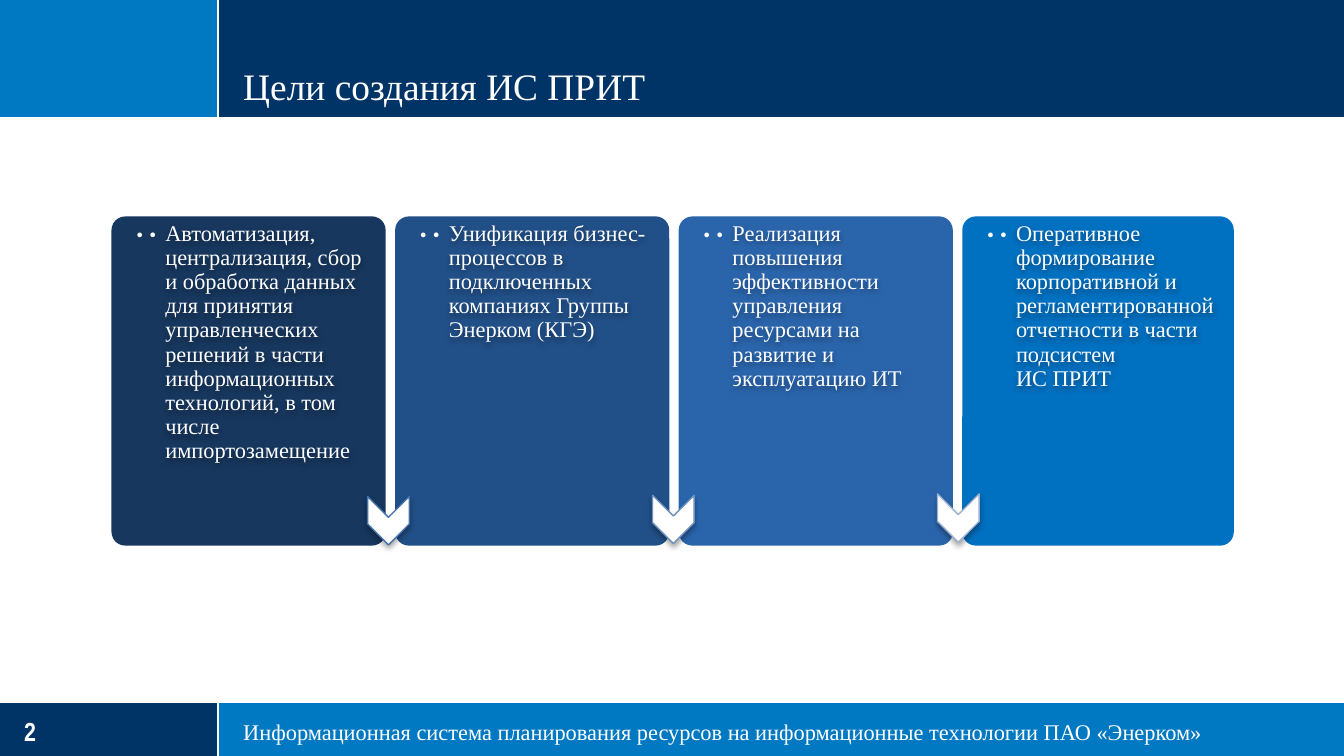
from dataclasses import dataclass

from lxml import etree
from pptx import Presentation
from pptx import util as u
from pptx.dml.color import RGBColor
from pptx.enum import shapes, text
from pptx.oxml import ns

WHITE = RGBColor(0xFF, 0xFF, 0xFF)
NAVY = RGBColor(0x00, 0x33, 0x66)
AZURE = RGBColor(0x00, 0x79, 0xC2)

SERIF = "Times New Roman"
PAGE_WIDTH = 10
PAGE_HEIGHT = PAGE_WIDTH * 9 / 16
FOOTER_TOP = 5.23
FOOTER_HEIGHT = PAGE_HEIGHT - FOOTER_TOP
CARD_LEFT, CARD_TOP, CARD_HEIGHT, CARD_STEP = 0.83, 1.61, 2.45, 2.11
ARROW_LEFT, ARROW_TOP, ARROW_STEP = 2.71, 3.72, 2.12


@dataclass(frozen=True)
class Area:
    left: float
    top: float
    width: float
    height: float

    def lengths(self) -> list[u.Length]:
        return [u.Inches(v) for v in (self.left, self.top, self.width, self.height)]


@dataclass(frozen=True)
class Label:
    words: str
    size: float
    font: str = SERIF
    bold: bool = False
    anchor: text.MSO_ANCHOR = text.MSO_ANCHOR.MIDDLE
    align: text.PP_ALIGN = text.PP_ALIGN.LEFT
    spacing: float = 1.0
    insets: tuple[float, float, float, float] = (0, 0, 0, 0)


@dataclass(frozen=True)
class Goal:
    words: str
    fill: RGBColor
    width: float = 2.04


BANDS = [
    (Area(0, FOOTER_TOP, PAGE_WIDTH, FOOTER_HEIGHT), AZURE),
    (Area(0, 0, PAGE_WIDTH, 0.87), NAVY),
    (Area(0, 0, 1.62, 0.87), AZURE),
    (Area(0, FOOTER_TOP, 1.62, FOOTER_HEIGHT), NAVY),
]
RULES = [(0, 5.22, PAGE_WIDTH, 5.22), (1.62, 5.22, 1.62, PAGE_HEIGHT),
         (1.62, 0, 1.62, 0.88), (0, 0.88, PAGE_WIDTH, 0.88)]
CAPTIONS = [
    (Area(0.18, 5.32, 1.01, 0.24), Label("2", 14, "Arial Narrow", True)),
    (Area(1.81, 0.08, 8.01, 0.72),
     Label("Цели создания ИС ПРИТ", 20, anchor=text.MSO_ANCHOR.BOTTOM)),
    (Area(1.81, 5.34, 8.01, 0.2),
     Label("Информационная система планирования ресурсов на "
           "информационные технологии ПАО «Энерком»", 12)),
]
GOALS = [
    Goal("Автоматизация, централизация, сбор и обработка данных для принятия "
         "управленческих решений в части информационных технологий, "
         "в том числе импортозамещение", RGBColor(0x17, 0x37, 0x5E)),
    Goal("Унификация бизнес-процессов в подключенных компаниях "
         "Группы Энерком (КГЭ)", RGBColor(0x21, 0x4F, 0x87)),
    Goal("Реализация повышения эффективности управления ресурсами "
         "на развитие и эксплуатацию ИТ", RGBColor(0x2A, 0x65, 0xAC)),
    Goal("Оперативное формирование корпоративной и регламентированной "
         "отчетности в части подсистем\vИС ПРИТ", RGBColor(0x00, 0x70, 0xC0), 2.02),
]
ARROW_LINES = [RGBColor(0x44, 0x72, 0xAB), RGBColor(0x6F, 0x8F, 0xBF),
               RGBColor(0x9D, 0xB0, 0xD1)]


def add_filled(page, kind: shapes.MSO_SHAPE, area: Area, fill: RGBColor):
    box = page.shapes.add_shape(kind, *area.lengths())
    box.shadow.inherit = False
    box.fill.solid()
    box.fill.fore_color.rgb = fill
    box.line.fill.background()
    return box


def write(box, label: Label) -> None:
    frame = box.text_frame
    sides = ("margin_left", "margin_top", "margin_right", "margin_bottom")
    settings = {side: u.Inches(inset) for side, inset in zip(sides, label.insets)}
    settings |= {"word_wrap": True, "vertical_anchor": label.anchor}
    for name, value in settings.items():
        setattr(frame, name, value)
    para = frame.paragraphs[0]
    para.text = label.words
    for name, value in {"alignment": label.align, "line_spacing": label.spacing}.items():
        setattr(para, name, value)
    style = {"size": u.Pt(label.size), "name": label.font, "bold": label.bold}
    for span in para.runs:
        for name, value in style.items():
            setattr(span.font, name, value)
        span.font.color.rgb = WHITE


def add_text(page, area: Area, label: Label):
    box = page.shapes.add_textbox(*area.lengths())
    write(box, label)
    return box


def add_rule(page, ends: tuple[float, float, float, float]) -> None:
    rule = page.shapes.add_connector(
        shapes.MSO_CONNECTOR.STRAIGHT, *[u.Inches(v) for v in ends])
    rule.line.color.rgb = WHITE
    rule.line.width = u.Pt(1.25)
    etree.SubElement(rule._element.spPr, ns.qn("a:effectLst"))


def add_shadow(box) -> None:
    box.shadow.inherit = False
    effects = box._element.spPr.find(ns.qn("a:effectLst"))
    shadow = etree.SubElement(
        effects, ns.qn("a:outerShdw"), blurRad=str(u.Pt(3.1)),
        dist=str(u.Pt(1.8)), dir="5400000", rotWithShape="0")
    color = etree.SubElement(shadow, ns.qn("a:srgbClr"), val="000000")
    etree.SubElement(color, ns.qn("a:alpha"), val="35000")


def add_card(page, goal: Goal, left: float) -> None:
    turn = (CARD_HEIGHT - goal.width) / 2
    area = Area(left - turn, CARD_TOP + turn, CARD_HEIGHT, goal.width)
    card = add_filled(page, shapes.MSO_SHAPE.ROUNDED_RECTANGLE, area, goal.fill)
    card.adjustments[0] = 0.05
    card.rotation = 270
    write(card, Label(":", 21, "Calibri", anchor=text.MSO_ANCHOR.TOP,
                      align=text.PP_ALIGN.RIGHT, spacing=0.9,
                      insets=(0.44, 0.04, 0.07, 1.63)))


def add_arrow(page, index: int) -> None:
    area = Area(ARROW_LEFT + index * ARROW_STEP, ARROW_TOP - index * 0.01, 0.36, 0.31)
    arrow = add_filled(page, shapes.MSO_SHAPE.CHEVRON, area, WHITE)
    arrow.rotation = 90
    arrow.line.color.rgb = ARROW_LINES[index]
    arrow.line.width = u.Pt(0.75)
    add_shadow(arrow)


def add_goal(page, index: int, goal: Goal) -> None:
    left = CARD_LEFT + index * CARD_STEP
    add_card(page, goal, left)
    if index:
        add_arrow(page, index - 1)
    box = add_text(page, Area(left + 0.4, CARD_TOP, 1.52, CARD_HEIGHT),
                   Label(goal.words, 12, anchor=text.MSO_ANCHOR.TOP,
                         spacing=0.9, insets=(0, 0.04, 0, 0)))
    add_shadow(box)


def main() -> None:
    deck = Presentation()
    deck.slide_width = u.Inches(PAGE_WIDTH)
    deck.slide_height = u.Inches(PAGE_HEIGHT)
    page = deck.slides.add_slide(deck.slide_layouts[6])
    for area, fill in BANDS:
        add_filled(page, shapes.MSO_SHAPE.RECTANGLE, area, fill)
    for ends in RULES:
        add_rule(page, ends)
    for area, label in CAPTIONS:
        add_text(page, area, label)
    for index, goal in enumerate(GOALS):
        add_goal(page, index, goal)
    deck.save("out.pptx")


if __name__ == "__main__":
    main()
